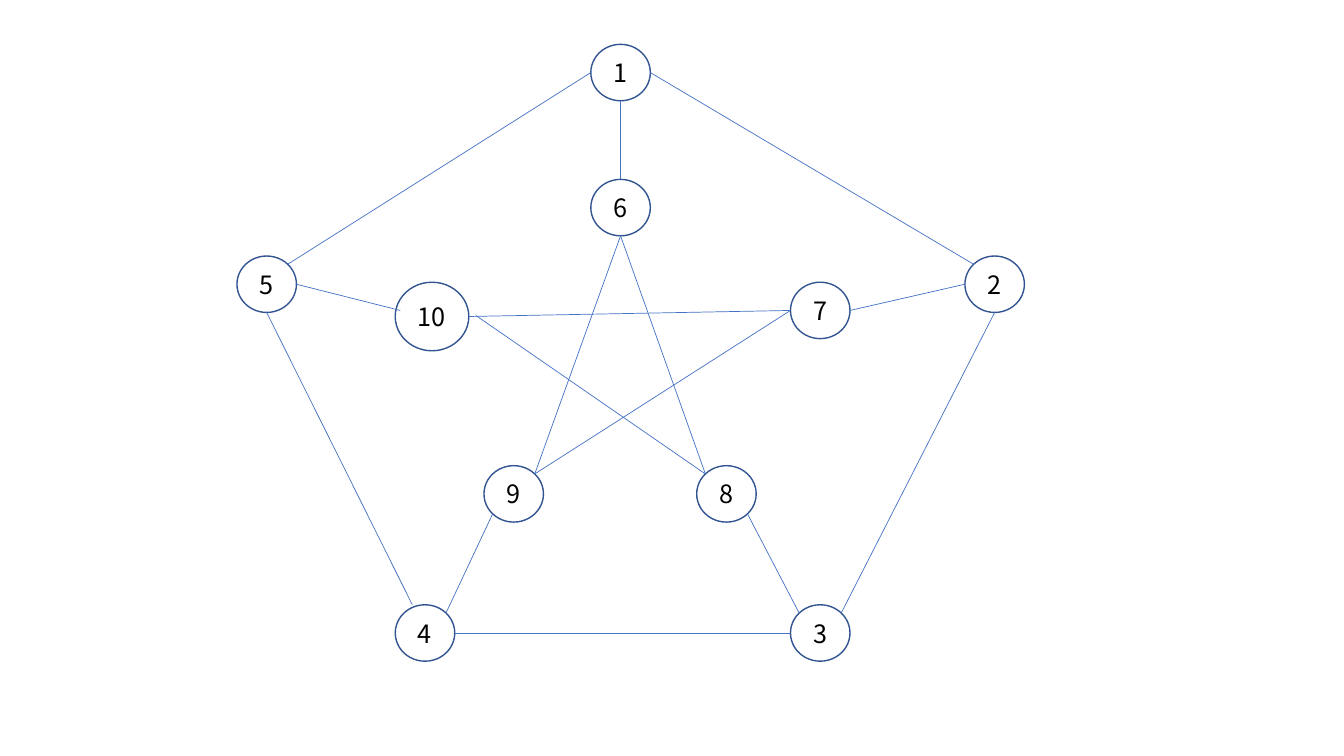
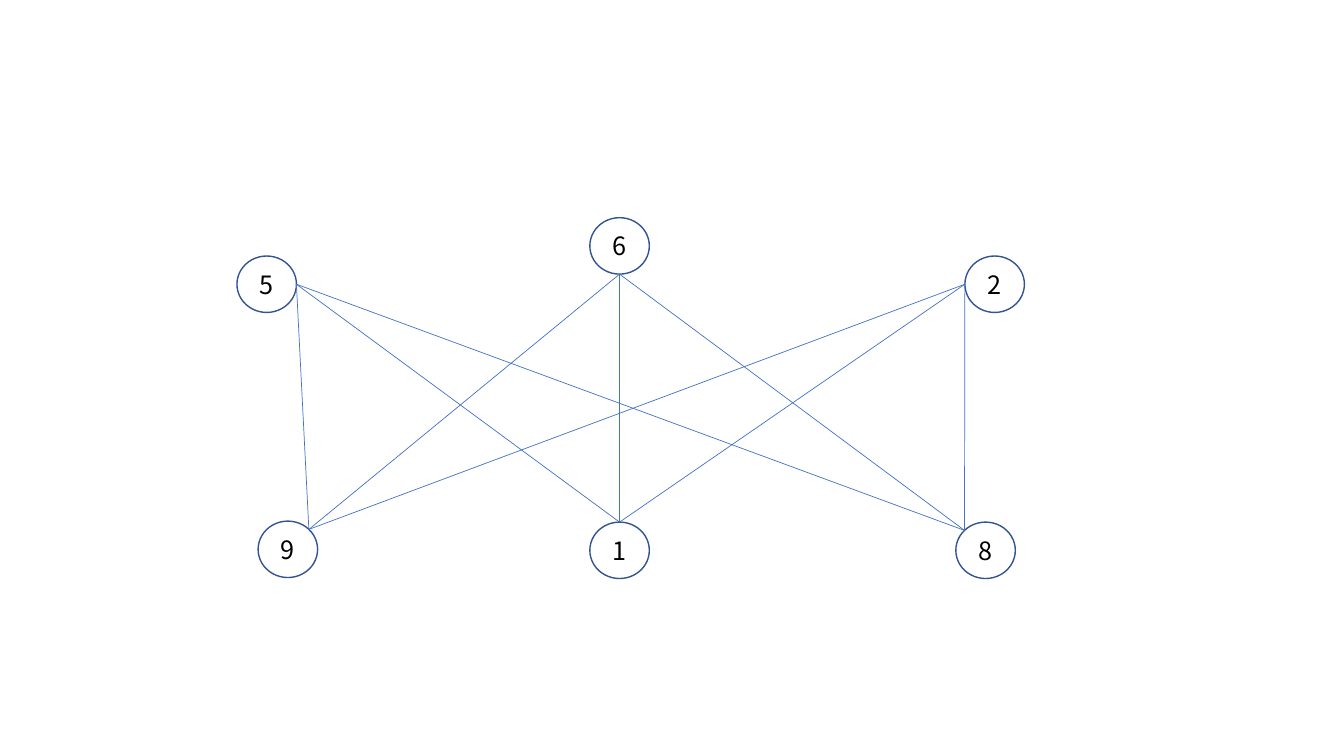
"""Draw two graphs of numbered nodes, one on each slide."""
from math import sqrt

from pptx import Presentation
from pptx.dml.color import RGBColor
from pptx.enum.shapes import MSO_CONNECTOR as CONN, MSO_SHAPE as SHAPE
from pptx.enum.text import MSO_ANCHOR as ANCHOR, PP_ALIGN as ALIGN
from pptx.oxml.ns import qn
from pptx.util import Inches, Pt

FONT = "Noto Sans CJK SC"
WHITE, BLACK, OUTLINE, EDGE = "FFFFFF", "000000", "325491", "4472C4"
NODE_SIZE = (0.59, 0.56)
WIDE_NODE = (0.73, 0.68)

# Points on an ellipse, as fractions of its width and height
LOW = (1 - sqrt(0.5)) / 2
HIGH = 1 - LOW
SITES = {
    "top": (0.5, 0), "bottom": (0.5, 1), "left": (0, 0.5), "right": (1, 0.5),
    "top left": (LOW, LOW), "top right": (HIGH, LOW),
    "bottom left": (LOW, HIGH), "bottom right": (HIGH, HIGH),
}


def color(value):
    """Turn a hex string into a colour."""
    return RGBColor.from_string(value)


class GraphDeck:
    """Hold the presentation, the current slide and its nodes."""

    def __init__(self):
        """Start an empty widescreen presentation."""
        self.prs = Presentation()
        self.prs.slide_width, self.prs.slide_height = Inches(13.33), Inches(7.5)

    def add_slide(self):
        """Add a blank slide and make it current."""
        self.slide = self.prs.slides.add_slide(self.prs.slide_layouts[6])
        self.nodes = {}

    def add_node(self, number, left, top, size=NODE_SIZE):
        """Add a numbered ellipse and remember its box."""
        sp = self.slide.shapes.add_shape(
            SHAPE.OVAL, *(Inches(v) for v in (left, top, *size)))
        sp.shadow.inherit = False
        sp.fill.solid()
        sp.fill.fore_color.rgb = color(WHITE)
        sp.line.color.rgb = color(OUTLINE)
        sp.line.width = Pt(1)
        tf = sp.text_frame
        tf.text = str(number)
        tf.vertical_anchor = ANCHOR.MIDDLE
        p = tf.paragraphs[0]
        p.alignment = ALIGN.CENTER
        font = p.runs[0].font
        font.name, font.size = FONT, Pt(18)
        font.color.rgb = color(BLACK)
        self.nodes[number] = (left, top, *size)

    def locate(self, end):
        """Return the point of a (node, site) pair, or a free (x, y) point."""
        node, site = end
        if site not in SITES:
            return end
        left, top, width, height = self.nodes[node]
        fx, fy = SITES[site]
        return left + fx * width, top + fy * height

    def add_edge(self, start, end):
        """Draw a thin straight line between two ends."""
        points = self.locate(start) + self.locate(end)
        line = self.slide.shapes.add_connector(
            CONN.STRAIGHT, *(Inches(v) for v in points))
        line.line.color.rgb = color(EDGE)
        line.line.width = Pt(0.5)
        sp_pr = line._element.spPr
        sp_pr.append(sp_pr.makeelement(qn("a:effectLst"), {}))

    def add_graph(self, nodes, edges):
        """Add a slide with all nodes and the edges between them."""
        self.add_slide()
        for node in nodes:
            self.add_node(*node)
        for start, end in edges:
            self.add_edge(start, end)


PENTAGON_NODES = [
    (1, 5.86, 0.44), (6, 5.86, 1.78), (7, 7.84, 2.8), (8, 6.91, 4.62),
    (9, 4.8, 4.62), (10, 3.92, 2.8, WIDE_NODE), (5, 2.35, 2.54),
    (4, 3.92, 6), (3, 7.84, 6), (2, 9.57, 2.54),
]
PENTAGON_EDGES = [
    # Inner star
    ((10, "right"), (7, "left")),
    ((7, "left"), (9, "top right")),
    ((6, "bottom"), (9, "top right")),
    ((6, "bottom"), (8, "top left")),
    ((4.72, 3.13), (8, "top left")),
    # Outer ring
    ((1, "left"), (5, "top right")),
    ((5, "bottom"), (4.09, 6)),
    ((1, "right"), (2, "top left")),
    ((2, "bottom"), (3, "top right")),
    ((4, "right"), (3, "left")),
    # Spokes
    ((5, "right"), (3.97, 3.08)),
    ((1, "bottom"), (6, "top")),
    ((2, "left"), (7, "right")),
    ((9, "bottom left"), (4, "top right")),
    ((8, "bottom right"), (3, "top left")),
]

BIPARTITE_NODES = [
    (1, 5.85, 5.18), (6, 5.85, 2.16), (8, 9.48, 5.18),
    (9, 2.56, 5.17), (5, 2.35, 2.54), (2, 9.57, 2.54),
]
UPPER_ENDS = [(5, "right"), (6, "bottom"), (2, "left")]
LOWER_ENDS = [(9, "top right"), (1, "top"), (8, "top left")]
BIPARTITE_EDGES = [(upper, lower) for upper in UPPER_ENDS for lower in LOWER_ENDS]

deck = GraphDeck()
deck.add_graph(PENTAGON_NODES, PENTAGON_EDGES)
deck.add_graph(BIPARTITE_NODES, BIPARTITE_EDGES)
deck.prs.save("out.pptx")
